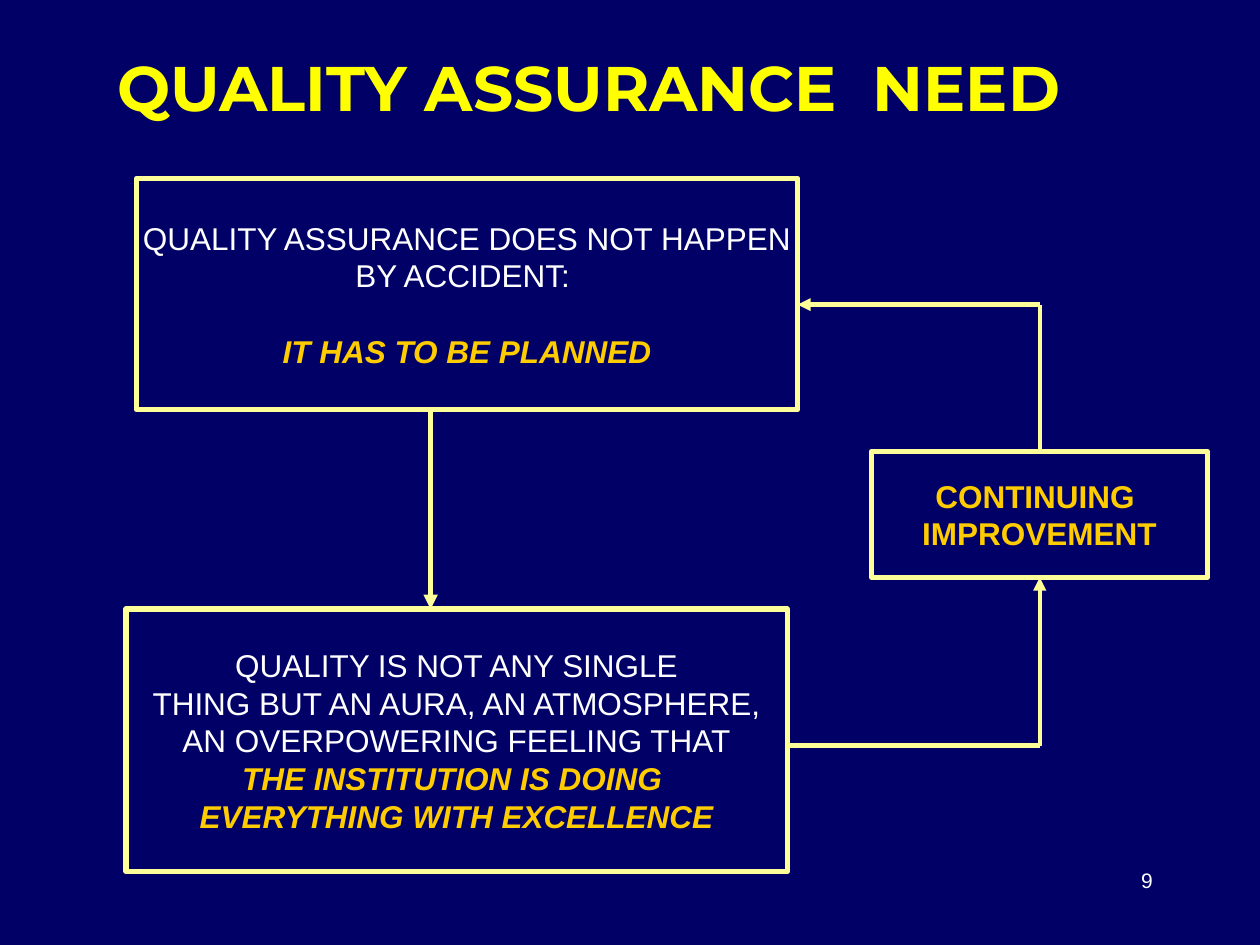
from pptx import Presentation
from pptx.dml.color import RGBColor
from pptx.enum.shapes import MSO_CONNECTOR, MSO_SHAPE
from pptx.enum.text import MSO_ANCHOR, PP_ALIGN
from pptx.oxml.ns import qn
from pptx.util import Cm, Pt
from lxml.etree import SubElement


def rgb(value):
    return RGBColor.from_string(value)


def write(tf, lines, align):
    for i, (text, color, fmt, before) in enumerate(lines):
        p = tf.paragraphs[0] if i == 0 else tf.add_paragraph()
        p.alignment = align
        if before:
            p.space_before = Pt(before)
        r = p.add_run()
        r.text = text
        r.font.color.rgb = rgb(color)
        for name, value in fmt.items():
            setattr(r.font, name, value)


prs = Presentation()
prs.slide_width, prs.slide_height = Cm(25.4), Cm(19.05)
s = prs.slides.add_slide(prs.slide_layouts[6])
s.background.fill.solid()
s.background.fill.fore_color.rgb = rgb("000066")

LINE, WHITE, GOLD = "FFFF99", "FFFFFF", "FFCC00"
plain = {"name": "Arial", "size": Pt(18)}
bold = {**plain, "bold": True}
strong = {**bold, "italic": True}

boxes = [
    ((2.75, 3.6, 13.33, 4.66), [
        ("QUALITY ASSURANCE DOES NOT HAPPEN", WHITE, plain, 0),
        ("BY ACCIDENT: ", WHITE, plain, 0),
        ("IT HAS TO BE PLANNED", GOLD, strong, 21.6),
    ]),
    ((2.54, 12.28, 13.33, 5.29), [
        ("QUALITY IS NOT ANY SINGLE", WHITE, plain, 0),
        ("THING BUT AN AURA, AN ATMOSPHERE,", WHITE, plain, 0),
        ("AN OVERPOWERING FEELING THAT", WHITE, plain, 0),
        ("THE INSTITUTION IS DOING ", GOLD, strong, 0),
        ("EVERYTHING WITH EXCELLENCE", GOLD, strong, 0),
    ]),
    ((17.57, 9.1, 6.77, 2.54), [
        ("CONTINUING ", GOLD, bold, 0),
        ("IMPROVEMENT", GOLD, bold, 0),
    ]),
]
for at, lines in boxes:
    sp = s.shapes.add_shape(MSO_SHAPE.RECTANGLE, *map(Cm, at))
    sp.shadow.inherit = False
    sp.fill.background()
    sp.line.color.rgb = rgb(LINE)
    sp.line.width = Pt(3)
    tf = sp.text_frame
    tf.word_wrap = False
    tf.vertical_anchor = MSO_ANCHOR.MIDDLE
    write(tf, lines, PP_ALIGN.CENTER)

links = [
    ((8.68, 8.26, 8.68, 12.28), 2.75, True),
    ((15.87, 15.03, 20.96, 15.03), 2.5, False),
    ((20.96, 15.03, 20.96, 11.64), 2.5, True),
    ((20.96, 9.1, 20.96, 6.14), 2.5, False),
    ((20.96, 6.14, 16.08, 6.14), 2.5, True),
]
for ends, width, arrow in links:
    c = s.shapes.add_connector(MSO_CONNECTOR.STRAIGHT, *map(Cm, ends))
    c.line.color.rgb = rgb(LINE)
    c.line.width = Pt(width)
    if arrow:
        SubElement(c.line._get_or_add_ln(), qn("a:tailEnd"), type="triangle")
    SubElement(c._element.spPr, qn("a:effectLst"))

title = {"name": "Montserrat", "size": Pt(36), "bold": True}
number = {"name": "Arial", "size": Pt(12)}
texts = [
    ((2.12, 0.85, 21.38, 1.78), ("QUALITY ASSURANCE  NEED", "FFFF00", title, 0), PP_ALIGN.LEFT),
    ((18.2, 17.36, 5.29, 1.27), ("9", WHITE, number, 0), PP_ALIGN.RIGHT),
]
for at, line, align in texts:
    tf = s.shapes.add_textbox(*map(Cm, at)).text_frame
    tf.word_wrap = True
    write(tf, [line], align)

prs.save("out.pptx")
